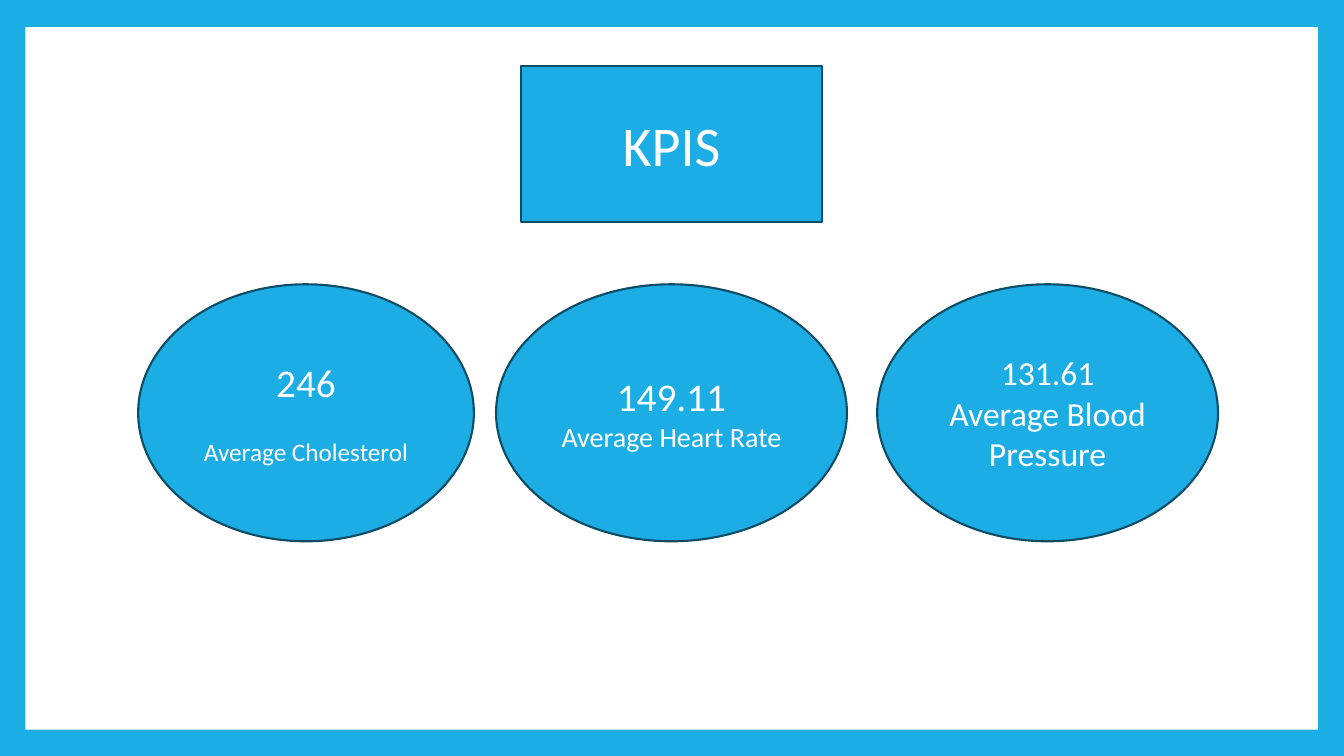
import pptx
import pptx.util
import pptx.oxml
import pptx.oxml.ns
import pptx.dml.color
import pptx.enum.shapes
import pptx.enum.text

SHAPE = pptx.enum.shapes.MSO_SHAPE
HUES = {"sky": "1CADE4", "edge": "0C4C64", "white": "FFFFFF"}


class Deck:
    """Style and current slide; places are percent of the slide's size."""

    def __init__(self):
        self.prs = pptx.Presentation()
        self.prs.slide_width = pptx.util.Inches(13.33)
        self.prs.slide_height = pptx.util.Inches(7.5)
        self.font = "Calibri"
        self.slide = self.prs.slides.add_slide(self.prs.slide_layouts[5])
        self.tint(self.slide.background.fill, "sky")

    def hue(self, name):
        return pptx.dml.color.RGBColor.from_string(HUES[name])

    def tint(self, fill, name):
        fill.solid()
        fill.fore_color.rgb = self.hue(name)

    def place(self, x, y, w, h):
        wide, high = self.prs.slide_width, self.prs.slide_height
        return [round(part * full / 100)
                for part, full in zip((x, y, w, h), (wide, high, wide, high))]

    def dress(self, shape):
        self.tint(shape.fill, "sky")
        shape.line.color.rgb = self.hue("edge")
        shape.line.width = pptx.util.Pt(1.5)

    def label(self, shape, lines, sizes, gap=0):
        """Fill the shape with centred lines, gap points apart."""
        frame = shape.text_frame
        frame.text = "\n".join(lines)
        frame.word_wrap = True
        frame.vertical_anchor = pptx.enum.text.MSO_ANCHOR.MIDDLE
        for row, (para, size) in enumerate(zip(frame.paragraphs, sizes)):
            para.alignment = pptx.enum.text.PP_ALIGN.CENTER
            para.space_before = pptx.util.Pt(gap if row else 0)
            for run in para.runs:
                run.font.name = self.font
                run.font.size = pptx.util.Pt(size)
                run.font.color.rgb = self.hue("white")

    def panel(self, *box):
        shape = self.slide.shapes.add_shape(SHAPE.RECTANGLE, *self.place(*box))
        shape.shadow.inherit = False
        self.tint(shape.fill, "white")
        shape.line.fill.background()

    def title(self, text, size, *box):
        """Turn the title placeholder into a rounded box in front."""
        shape = self.slide.shapes.title
        shape.left, shape.top, shape.width, shape.height = self.place(*box)
        geom = pptx.oxml.parse_xml(
            '<a:prstGeom %s prst="roundRect"><a:avLst/></a:prstGeom>'
            % pptx.oxml.ns.nsdecls("a"))
        shape._element.spPr.insert(1, geom)
        self.dress(shape)
        self.label(shape, [text], [size])
        self.slide.shapes._spTree.append(shape._element)

    def oval(self, lines, sizes, gap, *box):
        shape = self.slide.shapes.add_shape(SHAPE.OVAL, *self.place(*box))
        shape.shadow.inherit = False
        self.dress(shape)
        self.label(shape, lines, sizes, gap)


def main():
    deck = Deck()
    deck.panel(1.88, 3.6, 96.17, 92.93)
    kpis = [
        ("246", "Average Cholesterol", (28, 18), 22, 10.28, 24.98),
        ("149.11", "Average Heart Rate", (28, 20), 0, 36.91, 26.11),
        ("131.61", "Average Blood Pressure", (24, 24), 0, 65.27, 25.36),
    ]
    for value, name, sizes, gap, left, width in kpis:
        deck.oval((value, name), sizes, gap, left, 37.6, width, 34)
    deck.title("KPIS", 40, 38.78, 8.67, 22.36, 20.67)
    deck.prs.save("out.pptx")


if __name__ == "__main__":
    main()
